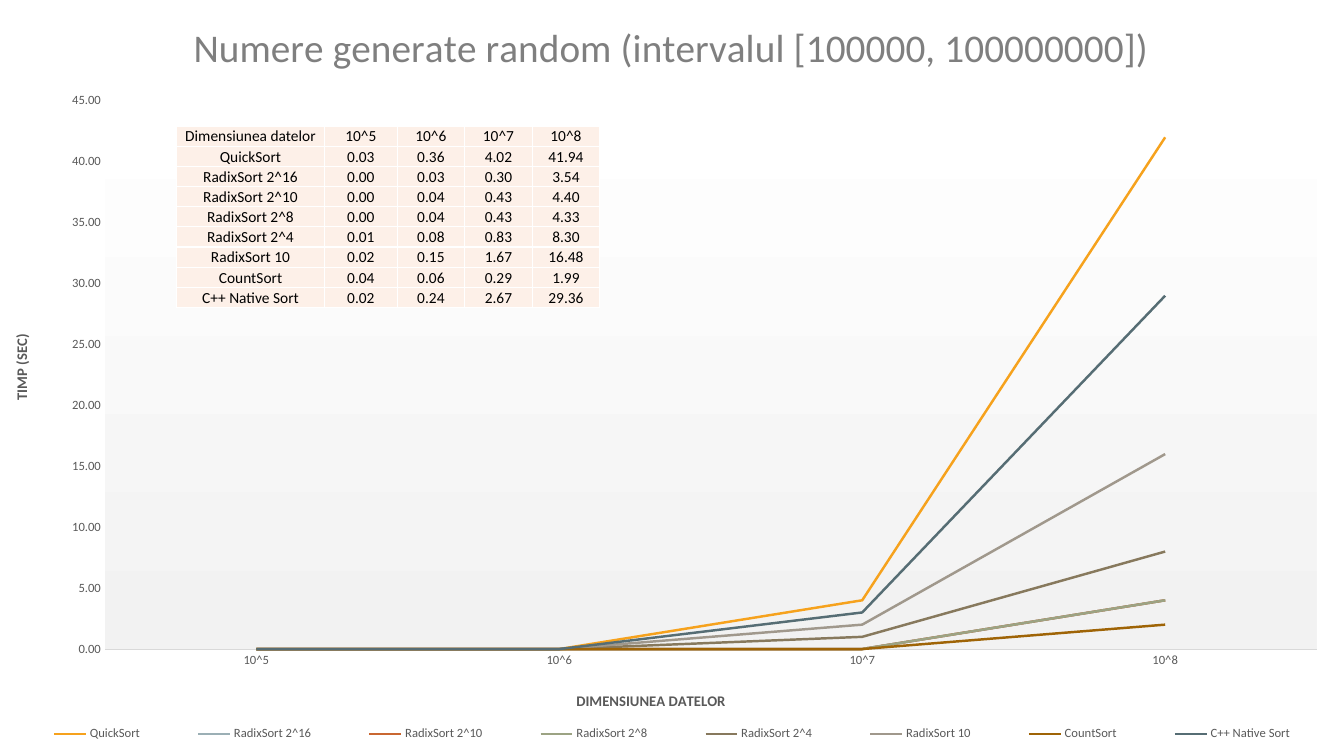
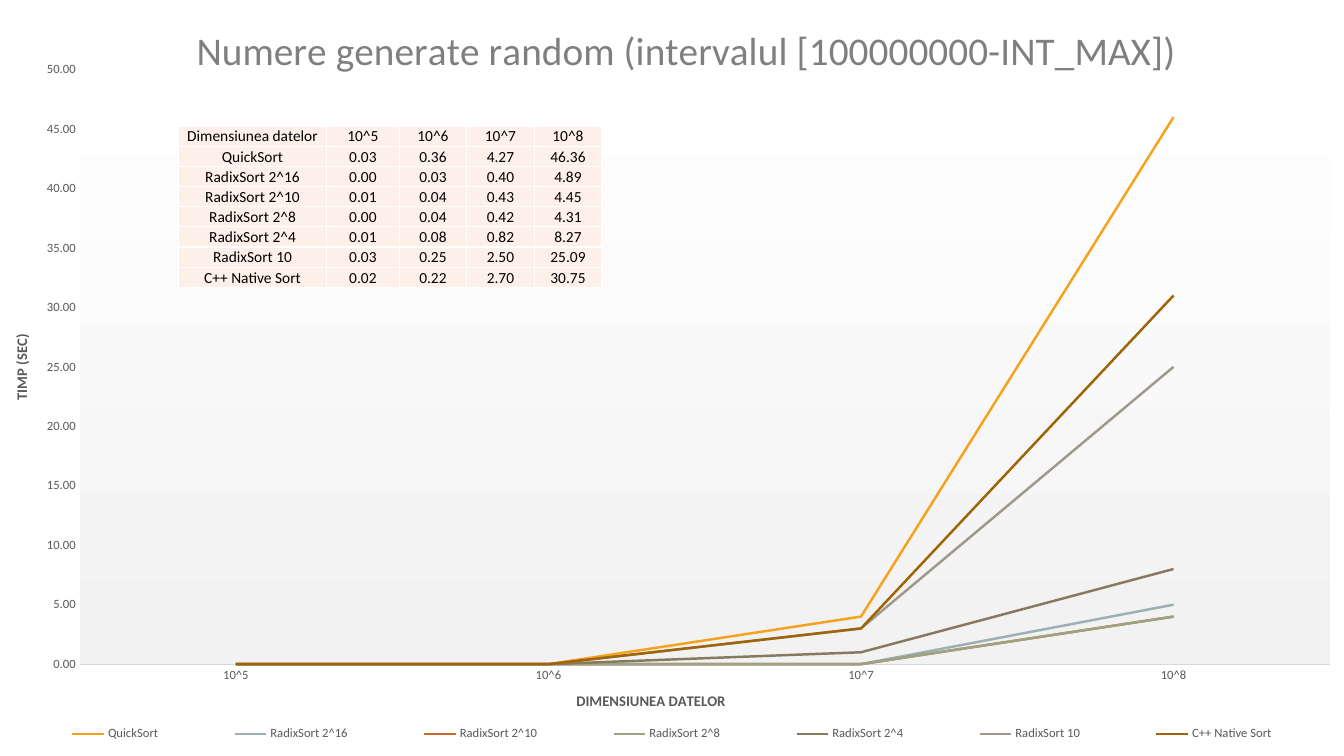
from lxml import etree
from pptx import Presentation
from pptx.chart.data import CategoryChartData
from pptx.dml.color import RGBColor
from pptx.enum.chart import XL_CHART_TYPE, XL_LEGEND_POSITION, XL_TICK_MARK
from pptx.enum.text import MSO_ANCHOR, PP_ALIGN
from pptx.oxml import parse_xml
from pptx.oxml.ns import nsdecls, qn
from pptx.util import Inches, Pt

LINE_CHART = XL_CHART_TYPE.LINE
BOTTOM_LEGEND = XL_LEGEND_POSITION.BOTTOM
NO_TICK = XL_TICK_MARK.NONE
ANCHOR_BOTTOM = MSO_ANCHOR.BOTTOM
CENTER = PP_ALIGN.CENTER

FONT = "Calibri"
BLACK = RGBColor(0x00, 0x00, 0x00)
WHITE = RGBColor(0xFF, 0xFF, 0xFF)
PALE_GRAY = RGBColor(0xF2, 0xF2, 0xF2)
AXIS_GRAY = RGBColor(0xD9, 0xD9, 0xD9)
TITLE_GRAY = RGBColor(0x7F, 0x7F, 0x7F)
TEXT_GRAY = RGBColor(0x59, 0x59, 0x59)
CREAM = RGBColor(0xFD, 0xF0, 0xE8)
SERIES_COLORS = [
    RGBColor(0xF6, 0xA2, 0x1D),
    RGBColor(0x9B, 0xAF, 0xB5),
    RGBColor(0xC9, 0x67, 0x31),
    RGBColor(0x9C, 0xA3, 0x83),
    RGBColor(0x87, 0x79, 0x5D),
    RGBColor(0xA0, 0x98, 0x8C),
    RGBColor(0x9F, 0x64, 0x06),
    RGBColor(0x56, 0x6D, 0x74),
]

SLIDE_W, SLIDE_H = 13.33, 7.5
SIZES = ["10^5", "10^6", "10^7", "10^8"]
COL_WIDTHS = [1.47, 0.72, 0.67, 0.67, 0.67]
ROW_H = 0.2

SMALL_RANGE = {
    "QuickSort": [0.03, 0.36, 4.02, 41.94],
    "RadixSort 2^16": [0.00, 0.03, 0.30, 3.54],
    "RadixSort 2^10": [0.00, 0.04, 0.43, 4.40],
    "RadixSort 2^8": [0.00, 0.04, 0.43, 4.33],
    "RadixSort 2^4": [0.01, 0.08, 0.83, 8.30],
    "RadixSort 10": [0.02, 0.15, 1.67, 16.48],
    "CountSort": [0.04, 0.06, 0.29, 1.99],
    "C++ Native Sort": [0.02, 0.24, 2.67, 29.36],
}
LARGE_RANGE = {
    "QuickSort": [0.03, 0.36, 4.27, 46.36],
    "RadixSort 2^16": [0.00, 0.03, 0.40, 4.89],
    "RadixSort 2^10": [0.01, 0.04, 0.43, 4.45],
    "RadixSort 2^8": [0.00, 0.04, 0.42, 4.31],
    "RadixSort 2^4": [0.01, 0.08, 0.82, 8.27],
    "RadixSort 10": [0.03, 0.25, 2.50, 25.09],
    "C++ Native Sort": [0.02, 0.22, 2.70, 30.75],
}


def style_font(font, size, color, bold=False):
    font.name = FONT
    font.size = Pt(size)
    font.bold = bold
    font.color.rgb = color


def add_run(p, text, size, color, bold=False):
    r = p.add_run()
    r.text = text
    style_font(r.font, size, color, bold)
    return r


def set_layout(parent, index, chart_box, place, target=None):
    old = parent.find(qn("c:layout"))
    if old is not None:
        parent.remove(old)
    layout = parse_xml(f"<c:layout {nsdecls('c')}><c:manualLayout/></c:layout>")
    values = {"layoutTarget": target} if target else {}
    values.update(xMode="edge", yMode="edge")
    width, height = chart_box[2:]
    for tag, length, total in zip("xywh", place, (width, height, width, height)):
        values[tag] = length / total
    for tag, value in values.items():
        etree.SubElement(layout[0], qn(f"c:{tag}")).set("val", str(value))
    parent.insert(index, layout)


def set_title(owner, text, size, color, bold, chart_box, place):
    r = add_run(owner.text_frame.paragraphs[0], text, size, color, bold)
    set_layout(owner.element, 1, chart_box, place)
    return r


def fill_chart(chart):
    c_chart = chart.element.find(qn("c:chart"))
    c_chart.addnext(parse_xml(
        f"<c:spPr {nsdecls('c', 'a')}><a:solidFill><a:srgbClr val='{WHITE}'/></a:solidFill>"
        "<a:ln><a:noFill/></a:ln></c:spPr>"))
    plot_area = c_chart.find(qn("c:plotArea"))
    plot_area.append(parse_xml(
        f"<c:spPr {nsdecls('c', 'a')}><a:gradFill><a:gsLst>"
        f"<a:gs pos='0'><a:srgbClr val='{WHITE}'/></a:gs>"
        f"<a:gs pos='100000'><a:srgbClr val='{PALE_GRAY}'/></a:gs>"
        "</a:gsLst><a:lin ang='5400000' scaled='0'/></a:gradFill>"
        "<a:ln><a:noFill/></a:ln></c:spPr>"))
    return plot_area


def style_axis(axis, title, chart_box, place):
    axis.has_major_gridlines = False
    axis.major_tick_mark = NO_TICK
    axis.minor_tick_mark = NO_TICK
    style_font(axis.tick_labels.font, 9, TEXT_GRAY)
    set_title(axis.axis_title, title, 10.5, TEXT_GRAY, True, chart_box, place)


def add_timing_chart(slide, box, title, title_place, timings, axis_max, plot_place):
    data = CategoryChartData(number_format="0.00")
    data.categories = SIZES
    for name, values in timings.items():
        data.add_series(name, [int(v + 0.5) for v in values])
    chart = slide.shapes.add_chart(LINE_CHART, *map(Inches, box), data).chart
    style_font(chart.font, 10, BLACK)
    chart.has_title = True
    r = set_title(chart.chart_title, title, 28, TITLE_GRAY, False, box, title_place)
    r.font._element.set("spc", "20")

    chart.has_legend = True
    legend = chart.legend
    legend.position = BOTTOM_LEGEND
    legend.include_in_layout = False
    style_font(legend.font, 9, TEXT_GRAY)
    set_layout(legend._element, 1, box, (0, 7.13, box[2], 0.3))

    style_axis(chart.category_axis, "DIMENSIUNEA DATELOR", box, (5.69, 6.83))
    line = chart.category_axis.format.line
    line.color.rgb = AXIS_GRAY
    line.width = Pt(0.75)

    axis = chart.value_axis
    style_axis(axis, "TIMP (SEC)", box, (0.09, 3.29))
    axis.minimum_scale = 0
    axis.maximum_scale = axis_max
    axis.major_unit = 5
    axis.tick_labels.number_format = "0.00"
    axis.tick_labels.number_format_is_linked = False
    axis.format.line.fill.background()

    plot = chart.plots[0]
    plot.vary_by_categories = False
    for series, color in zip(plot.series, SERIES_COLORS):
        series.smooth = False
        series.format.line.color.rgb = color
        series.format.line.width = Pt(1.75)

    set_layout(fill_chart(chart), 0, box, plot_place, "inner")


def style_cell(cell, text):
    cell.margin_left = cell.margin_right = cell.margin_top = Inches(0.01)
    cell.margin_bottom = 0
    cell.vertical_anchor = ANCHOR_BOTTOM
    cell.fill.solid()
    cell.fill.fore_color.rgb = CREAM
    p = cell.text_frame.paragraphs[0]
    p.alignment = CENTER
    add_run(p, text, 11, BLACK)
    tc_pr = cell._tc.get_or_add_tcPr()
    for i, side in enumerate("LRTB"):
        tc_pr.insert(i, parse_xml(
            f"<a:ln{side} {nsdecls('a')} w='{Pt(1)}'><a:solidFill>"
            f"<a:srgbClr val='{WHITE}'/></a:solidFill></a:ln{side}>"))


def add_timing_table(slide, left, top, timings):
    rows = [["Dimensiunea datelor", *SIZES]]
    rows += [[name, *(f"{v:.2f}" for v in values)] for name, values in timings.items()]
    frame = slide.shapes.add_table(
        len(rows), len(COL_WIDTHS), Inches(left), Inches(top),
        Inches(sum(COL_WIDTHS)), Inches(ROW_H * len(rows)))
    table = frame.table
    table.first_row = False
    table.horz_banding = False
    for column, width in zip(table.columns, COL_WIDTHS):
        column.width = Inches(width)
    for i, row in enumerate(rows):
        table.rows[i].height = Inches(ROW_H)
        for j, text in enumerate(row):
            style_cell(table.cell(i, j), text)


def add_timing_slide(prs, title, title_place, timings, axis_max, plot_place, table_left):
    slide = prs.slides.add_slide(prs.slide_layouts.get_by_name("Blank"))
    add_timing_chart(slide, (0, 0, SLIDE_W, SLIDE_H), title, title_place, timings,
                     axis_max, plot_place)
    add_timing_table(slide, table_left, 1.25, timings)


prs = Presentation()
prs.slide_width = Inches(SLIDE_W)
prs.slide_height = Inches(SLIDE_H)
background = prs.slide_master.background.fill
background.solid()
background.fore_color.rgb = PALE_GRAY

add_timing_slide(prs, "Numere generate random (intervalul [100000, 100000000])",
                 (1.85, 0.14), SMALL_RANGE, 45, (1.04, 1, 12.02, 5.44), 1.75)
add_timing_slide(prs, "Numere generate random (intervalul [100000000-INT_MAX])",
                 (1.88, 0.17), LARGE_RANGE, 50, (0.79, 0.69, 12.4, 5.9), 1.77)

prs.save("out.pptx")
